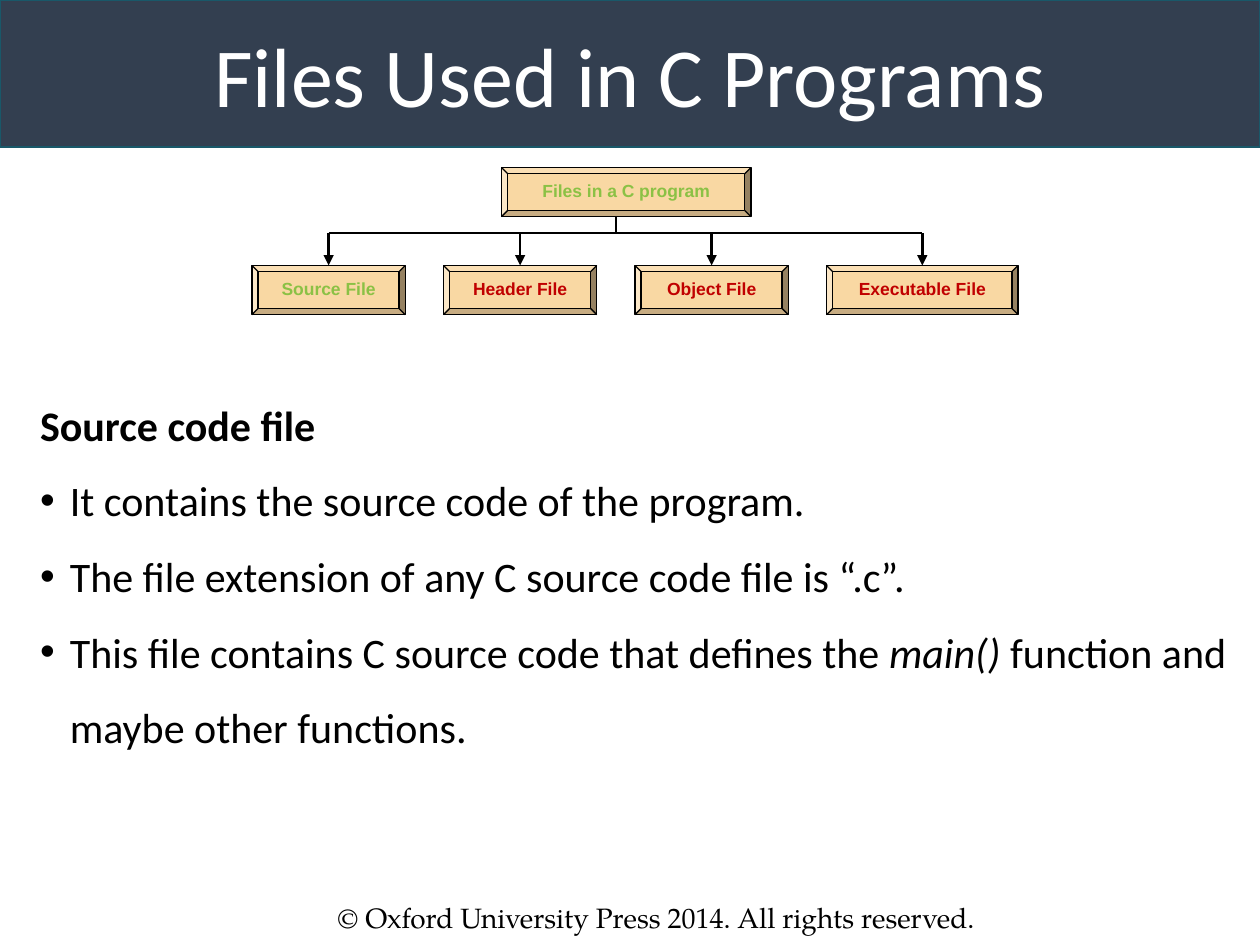
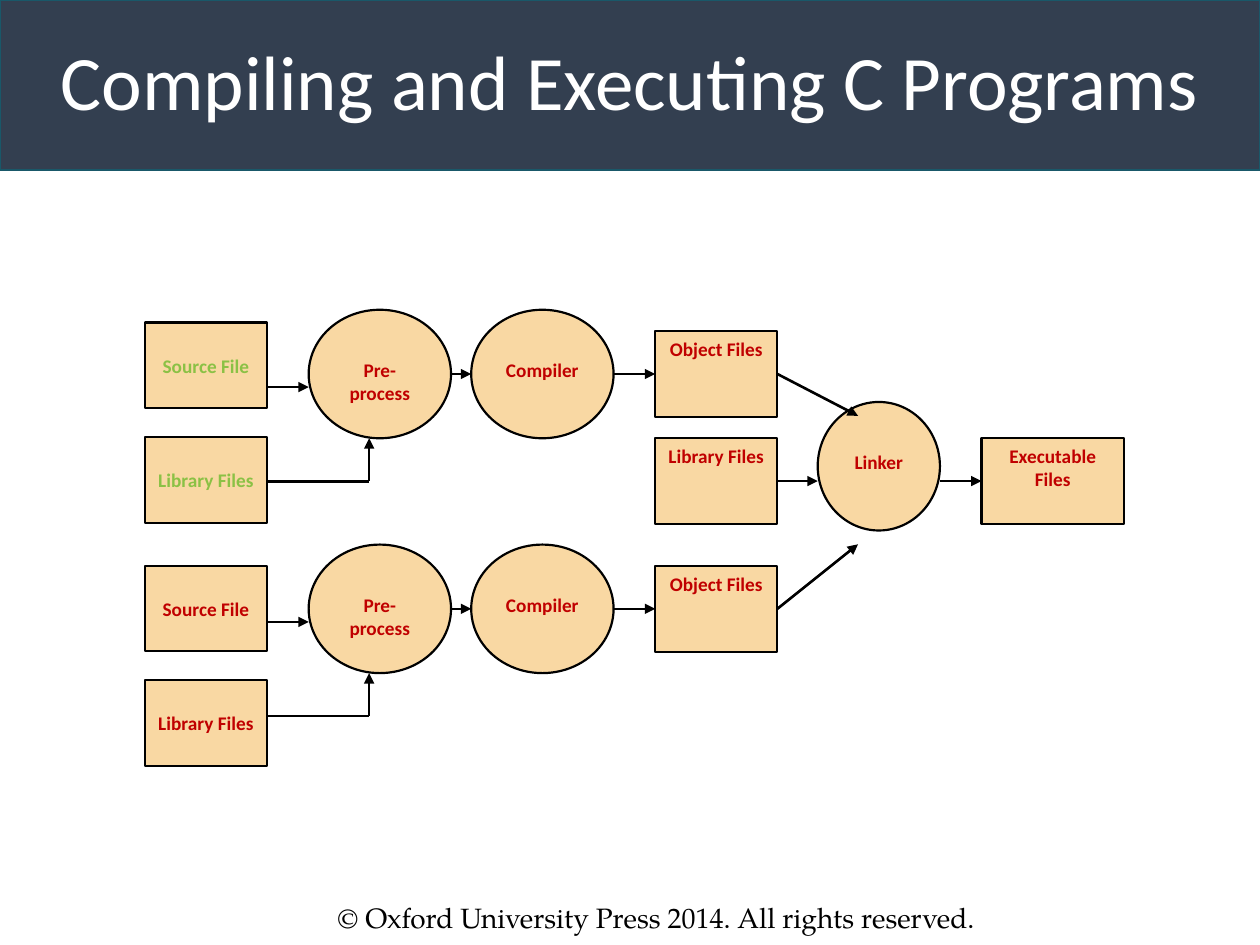
from pptx import Presentation
from pptx import util as u
from pptx.dml import color
from pptx.enum import shapes, text
from pptx.oxml import ns
from lxml import etree

Pt = u.Pt
FORM = shapes.MSO_SHAPE

THEME = {
    "navy": "333F50", "teal": "195869", "sand": "F9D8A3",
    "black": "000000", "white": "FFFFFF", "green": "8BC145", "red": "C00000",
    "body": "Calibri", "label": "Arial", "serif": "TeX Gyre Pagella",
    "edge": 1.25, "bevel": 0.75, "arrow": 1.5, "band": 1,
    "text": 24, "note": 16, "node": 11, "tree": 10,
}

FOOT = "© Oxford University Press 2014. All rights reserved."

TITLES = [
    {"words": "Files Used in C Programs", "size": 48, "high": 84.24, "lead": 1.0},
    {"words": "Compiling and Executing C Programs", "size": 44, "high": 97.2, "lead": 0.9},
]

ROOT = ("Files in a C program", "green")
KINDS = [
    ("Source File", "green", 87.6),
    ("Header File", "red", 87.6),
    ("Object File", "red", 87.6),
    ("Executable File", "red", 109.44),
]

HEAD = "Source code file"
POINTS = [
    [("It contains the source code of the program.", False)],
    [("The file extension of any C source code file is “.c”.", False)],
    [
        ("This file contains C source code that defines the ", False),
        ("main()", True),
        (" function and maybe other functions.", False),
    ],
]

COLS = {"file": 82.8, "prep": 176.4, "comp": 269.28,
        "object": 374.4, "link": 467.28, "exec": 560.88}
SLIM, WIDE, LOW, TALL = 69.84, 81.36, 48.96, 73.44
CHAINS = [
    {"top": 177.0, "files": 184.3, "tint": "green"},
    {"top": 311.2, "files": 323.3, "tint": "red"},
]
INPUTS = ["Source File", "Library Files"]
STEP = 65.5
MID = 250.4


def put(item, **vals):
    for key, val in vals.items():
        setattr(item, key, val)


def rgb(name):
    return color.RGBColor.from_string(THEME[name])


def frame(shape, anchor="TOP", top=3.6):
    put(shape.text_frame, word_wrap=True,
        vertical_anchor=getattr(text.MSO_ANCHOR, anchor),
        margin_left=Pt(7.2), margin_right=Pt(7.2),
        margin_top=Pt(top), margin_bottom=Pt(3.6))
    return shape.text_frame


def write(para, words, face, size, tint, **extra):
    run = para.add_run()
    run.text = words
    put(run.font, name=THEME[face], size=Pt(size), **extra)
    run.font.color.rgb = rgb(tint)


def block(slide, form, box, fill, edge, wide):
    shape = slide.shapes.add_shape(form, *map(Pt, box))
    shape.shadow.inherit = False
    shape.fill.solid()
    shape.fill.fore_color.rgb = rgb(fill)
    shape.line.color.rgb = rgb(edge)
    shape.line.width = Pt(wide)
    return shape


def label(shape, words, face, size, tint, anchor="TOP", top=3.6, **extra):
    para = frame(shape, anchor, top).paragraphs[0]
    para.alignment = text.PP_ALIGN.CENTER
    write(para, words, face, size, tint, **extra)
    return para


def link(slide, x1, y1, x2, y2, head=True):
    line = slide.shapes.add_connector(
        shapes.MSO_CONNECTOR.STRAIGHT, Pt(x1), Pt(y1), Pt(x2), Pt(y2))
    line.line.color.rgb = rgb("black")
    line.line.width = Pt(THEME["arrow"])
    if head:
        etree.SubElement(line.line._get_or_add_ln(), ns.qn("a:tailEnd"), type="triangle")
    etree.SubElement(line._element.spPr, ns.qn("a:effectLst"))


def page(deck, title):
    slide = deck.slides.add_slide(deck.slide_layouts[6])
    foot = slide.shapes.add_textbox(Pt(185.76), Pt(511.2), Pt(426.24), Pt(26.64))
    write(frame(foot).paragraphs[0], FOOT, "serif", THEME["note"], "black")
    band = block(slide, FORM.RECTANGLE, (0, 0, 720, title["high"]),
                 "navy", "teal", THEME["band"])
    para = label(band, title["words"], "body", title["size"], "white", "MIDDLE")
    para.line_spacing = title["lead"]
    return slide


def bullet(para):
    props = para._p.get_or_add_pPr()
    put_in = {"marL": 17, "indent": -17}
    for key, val in put_in.items():
        props.set(key, str(Pt(val)))
    etree.SubElement(props, ns.qn("a:buFont"), typeface="Arial")
    etree.SubElement(props, ns.qn("a:buChar"), char="•")


def plate(slide, box, words, tint):
    shape = block(slide, FORM.BEVEL, box, "sand", "black", THEME["bevel"])
    label(shape, words, "label", THEME["tree"], tint, bold=True)


def tree(slide):
    left, pitch, top, high = 144, 109.44, 151.7, 28.08
    stem, base, bus = 352.08, 123.8, 133.2
    plate(slide, (286.56, base - high, 142.56, high), *ROOT)
    link(slide, stem, base, stem, bus, False)
    mids = [left + i * pitch + kind[2] / 2 for i, kind in enumerate(KINDS)]
    link(slide, mids[0], bus, mids[-1], bus, False)
    for i, (words, tint, wide) in enumerate(KINDS):
        link(slide, mids[i], bus, mids[i], top)
        plate(slide, (left + i * pitch, top, wide, high), words, tint)


def prose(slide):
    box = slide.shapes.add_textbox(Pt(15.84), Pt(210.24), Pt(694.08), Pt(223.2))
    body = frame(box)
    first = body.paragraphs[0]
    first.line_spacing = 1.5
    write(first, HEAD, "body", THEME["text"], "black", bold=True)
    for point in POINTS:
        para = body.add_paragraph()
        bullet(para)
        para.line_spacing = 1.5
        for words, slant in point:
            write(para, words, "body", THEME["text"], "black", italic=slant)


def node(slide, col, top, words, tint="red", wide=SLIM, anchor="TOP"):
    shape = block(slide, FORM.RECTANGLE, (COLS[col], top, wide, LOW),
                  "sand", "black", THEME["edge"])
    label(shape, words, "body", THEME["node"], tint, anchor, bold=True)


def stage(slide, col, top, words, wide=WIDE):
    shape = block(slide, FORM.OVAL, (COLS[col], top, wide, TALL),
                  "sand", "black", THEME["edge"])
    label(shape, words, "body", THEME["node"], "red", top=17, bold=True)


def chain(slide, top, files, tint):
    for i, words in enumerate(INPUTS):
        node(slide, "file", files + i * STEP, words, tint, anchor="MIDDLE")
    edge, turn = COLS["file"] + SLIM, 210.96
    mid, feed = top + TALL / 2, top + 98
    link(slide, edge, top + 44.2, COLS["prep"], top + 44.2)
    link(slide, edge, feed, turn, feed, False)
    link(slide, turn, feed, turn, top + TALL)
    stage(slide, "prep", top, "Pre-process")
    stage(slide, "comp", top, "Compiler")
    link(slide, COLS["prep"] + WIDE, mid, COLS["comp"], mid)
    link(slide, COLS["comp"] + WIDE, mid, COLS["object"], mid)
    node(slide, "object", top + 12.3, "Object Files")
    return mid


def flow(slide):
    mids = [chain(slide, **part) for part in CHAINS]
    edge, tip, hub = COLS["object"] + SLIM, 490.32, MID + LOW / 2
    node(slide, "object", MID, "Library Files")
    stage(slide, "link", 229.7, "Linker", SLIM)
    link(slide, edge, hub, COLS["link"], hub)
    for mid, end in zip(mids, (237.6, 311.04)):
        link(slide, edge, mid, tip, end)
    link(slide, COLS["link"] + SLIM, hub, COLS["exec"], hub)
    node(slide, "exec", MID, "Executable Files", wide=WIDE)


def main():
    deck = Presentation()
    put(deck, slide_width=Pt(720), slide_height=Pt(540))
    files, build = [page(deck, title) for title in TITLES]
    tree(files)
    prose(files)
    flow(build)
    deck.save("out.pptx")


if __name__ == "__main__":
    main()
